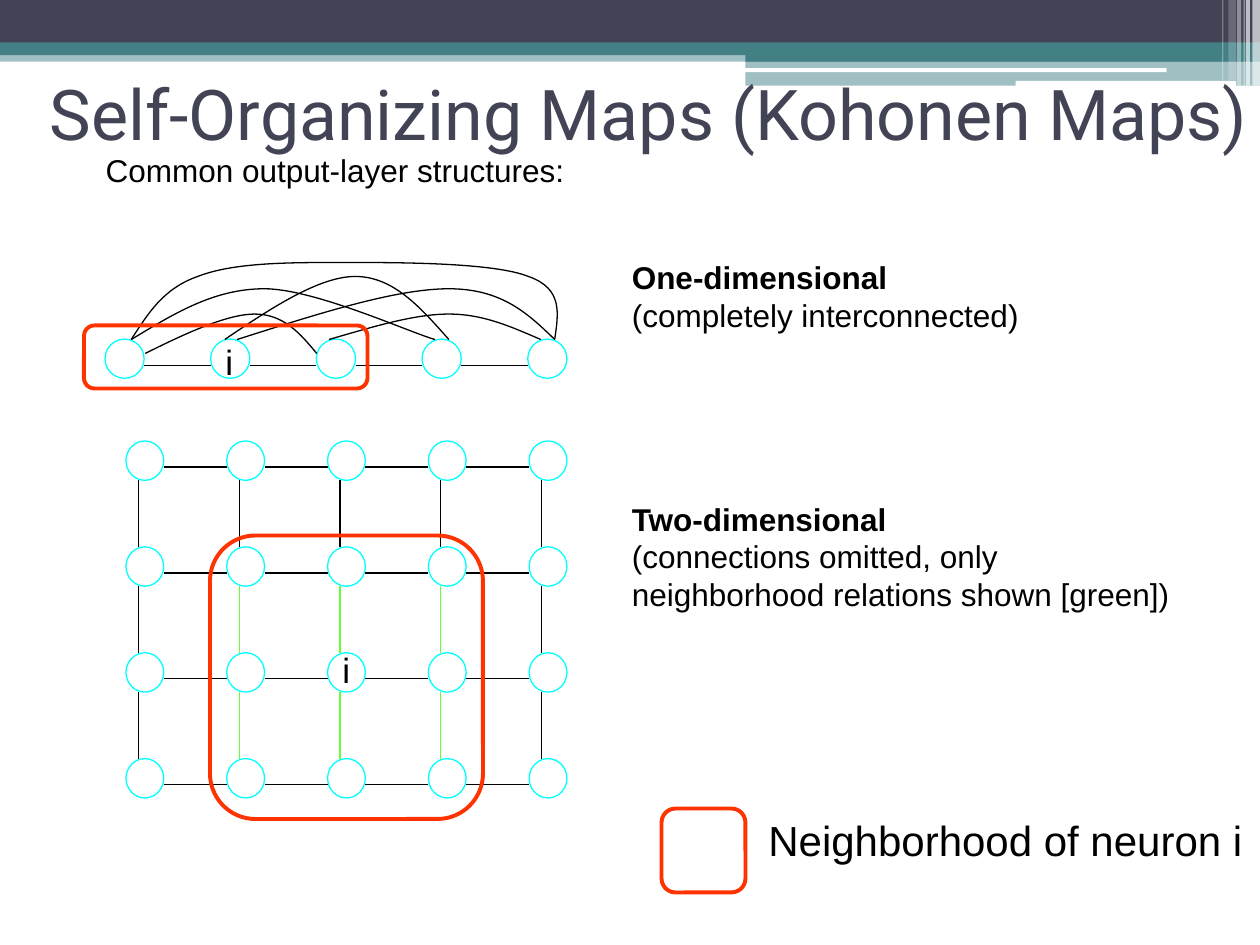
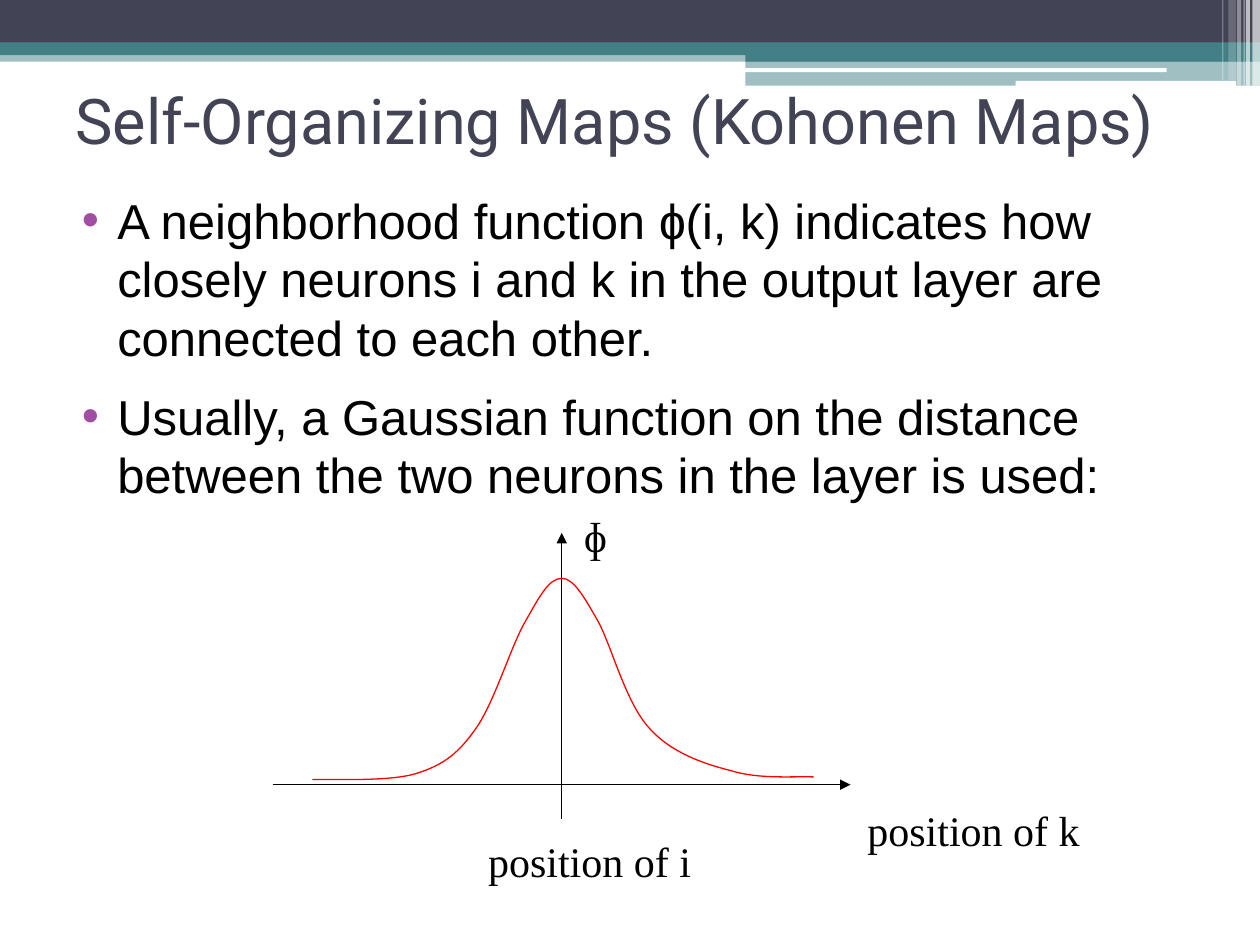
import pptx
import pptx.util
import pptx.dml.color
import pptx.enum.shapes
import pptx.enum.text
import pptx.oxml.ns
from lxml import etree

Pt = pptx.util.Pt
qn = pptx.oxml.ns.qn
KIND = pptx.enum.shapes.MSO_SHAPE
ALIGN = pptx.enum.text.PP_ALIGN
FIT = pptx.enum.text.MSO_AUTO_SIZE
ANCHOR = pptx.enum.text.MSO_ANCHOR

NAVY, TEAL, WHITE, BLACK = "424456", "438086", "FFFFFF", "000000"
CYAN, GREEN, RED, ORANGE, PURPLE = "00FFFF", "66FF33", "FF0000", "FF3300", "A04DA3"
TITLE = "Self-Organizing Maps (Kohonen Maps)"

BANDS = [
    (KIND.RECTANGLE, (0, 28.8, 720, 6.5), TEAL, 50),
    (KIND.RECTANGLE, (0, 0, 720, 24.5), NAVY, 100),
    (KIND.RECTANGLE, (0, 24.3, 720, 7.2), TEAL, 100),
    (KIND.RECTANGLE, (426, 28, 294, 7.2), TEAL, 100),
    (KIND.RECTANGLE, (426, 34.7, 294, 14.3), TEAL, 50),
    (KIND.ROUNDED_RECTANGLE, (425.5, 39, 241.2, 2.2), WHITE, 100),
    (KIND.ROUNDED_RECTANGLE, (580.3, 46.2, 126, 2.8), WHITE, 100),
]
STRIPES = [(715.7, 4.3, 49, 65), (712, 2.2, 49, 65), (710.6, 0.7, 49, 60),
           (707, 2.2, 49, 40), (702, 4.3, 46, 20), (698.4, 0.7, 46, 30)]

ARCS = [
    [(15, 44), (39, 29.5), (62, 15), (91, 15), (119.5, 15), (173, 39.5), (188.5, 44)],
    [(128, 44), (152.5, 37), (176.5, 29.5), (196.5, 29.5), (216.5, 29.5),
     (232.5, 37), (249, 44)],
    [(257, 44), (242, 29.5), (227, 15), (196.5, 15), (166, 15), (121, 29.5), (75.5, 44)],
    [(121, 52), (111.5, 40.5), (102, 29.5), (85.5, 29.5), (70, 29.5), (46, 40.5), (23, 52)],
    [(15, 44), (24.5, 29.5), (33, 15), (53, 8), (73.5, 0), (104.5, 0), (136, 0),
     (168, 0), (222, 0), (242, 8), (262, 15), (259, 29.5), (257, 44)],
    [(196.5, 44), (180.5, 26), (165, 8), (143, 8), (122.5, 8), (95, 26), (68.5, 44)],
]
BELL = [
    (22.5, 157.5), (32.5, 157), (66, 159), (82, 154), (98, 149), (106.5, 142),
    (116.5, 127.5), (126.5, 113), (136, 81.5), (144, 67.5), (152, 53.5),
    (157.5, 42.5), (165, 42.5), (172, 42.5), (178, 53.5), (186, 67.5),
    (193.5, 81.5), (201.5, 113), (214.5, 127.5), (227, 142), (246, 148.5),
    (262, 152.5), (278, 157.5), (299, 155.5), (309, 156),
]


def color(code):
    return pptx.dml.color.RGBColor.from_string(code)


def place(shape, box):
    shape.left, shape.top, shape.width, shape.height = map(Pt, box)


def write(para, text, size=18, font="Arial", ink=BLACK, bold=False, align=ALIGN.LEFT):
    para.alignment = align
    run = para.add_run()
    run.text = text
    run.font.size, run.font.name, run.font.bold = Pt(size), font, bold
    run.font.color.rgb = color(ink)


def label(shapes, box, text, head=None, wrap=True, **style):
    area = shapes.add_textbox(*map(Pt, box))
    area.text_frame.word_wrap = wrap
    para = area.text_frame.paragraphs[0]
    if head:
        write(para, head, bold=True, **style)
        para.add_line_break()
    write(para, text, **style)


def outline(shape, ink, width=0.75):
    shape.shadow.inherit = False
    shape.fill.background()
    shape.line.color.rgb = color(ink)
    shape.line.width = Pt(width)


def ring(shapes, box):
    outline(shapes.add_shape(KIND.OVAL, *map(Pt, box)), CYAN)


def hood(shapes, box):
    frame = shapes.add_shape(KIND.ROUNDED_RECTANGLE, *map(Pt, box))
    outline(frame, ORANGE, 2.25)


def link(shapes, x1, y1, x2, y2, ink=BLACK, arrow=False):
    line = shapes.add_connector(
        pptx.enum.shapes.MSO_CONNECTOR.STRAIGHT, *map(Pt, (x1, y1, x2, y2)))
    line.line.color.rgb = color(ink)
    line.line.width = Pt(0.75)
    props = line.element.spPr
    if arrow:
        etree.SubElement(props.find(qn("a:ln")), qn("a:tailEnd"), type="triangle")
    etree.SubElement(props, qn("a:effectLst"))


def curve(shapes, left, top, knots, ink=BLACK):
    dots = [(Pt(left + x), Pt(top + y)) for x, y in knots]
    pen = shapes.build_freeform(*dots[0])
    pen.add_line_segments(dots[1:], close=False)
    shape = pen.convert_to_shape()
    outline(shape, ink)
    trace = shape.element.spPr.find(".//" + qn("a:path"))
    legs = trace.findall(qn("a:lnTo"))
    for i in range(0, len(legs), 3):
        bend = etree.SubElement(trace, qn("a:cubicBezTo"))
        for leg in legs[i:i + 3]:
            bend.append(leg[0])
            trace.remove(leg)


def bands(deck, slide):
    stripes = [(KIND.RECTANGLE, (x, 0, wide, high), WHITE, alpha)
               for x, wide, high, alpha in STRIPES]
    tree = deck.slide_master.shapes.element
    for i, (kind, box, ink, alpha) in enumerate(BANDS + stripes):
        band = slide.shapes.add_shape(kind, *map(Pt, box))
        band.shadow.inherit = False
        band.fill.solid()
        band.fill.fore_color.rgb = color(ink)
        band.line.fill.background()
        if alpha < 100:
            tint = band.element.spPr.find(".//" + qn("a:srgbClr"))
            etree.SubElement(tint, qn("a:alpha"), val=str(alpha * 1000))
        band.element.nvSpPr.cNvPr.set("id", str(100 + i))
        tree.append(band.element)


def title(slide, box, size, align):
    head = slide.shapes.title
    place(head, box)
    frame = head.text_frame
    frame.auto_size, frame.vertical_anchor = FIT.NONE, ANCHOR.MIDDLE
    write(frame.paragraphs[0], TITLE, size=size, font="Roboto", ink=NAVY, align=align)


def points(slide, box, texts):
    body = slide.placeholders[1]
    place(body, box)
    frame = body.text_frame
    frame.auto_size, frame.vertical_anchor = FIT.NONE, ANCHOR.TOP
    for i, text in enumerate(texts):
        para = frame.add_paragraph() if i else frame.paragraphs[0]
        props = para._p.get_or_add_pPr()
        props.set("marL", str(Pt(28.8)))
        props.set("indent", str(Pt(-20.2)))
        tint = etree.SubElement(props, qn("a:buClr"))
        etree.SubElement(tint, qn("a:srgbClr"), val=PURPLE)
        etree.SubElement(props, qn("a:buFont"), typeface="Arial")
        etree.SubElement(props, qn("a:buChar"), char="•")
        para.space_before = Pt(11.2 if i else 0)
        write(para, text, size=28)


def chain(slide, left, top):
    shapes = slide.shapes.add_group_shape().shapes
    gap, size = 60.4, 22.4
    for i in range(5):
        x = left + i * gap
        ring(shapes, (x, top + 43.8, size, size))
        if i < 4:
            link(shapes, x + size, top + 58.8, x + gap, top + 58.8)
    for arc in ARCS:
        curve(shapes, left, top, arc)


def grid(slide, left, top):
    shapes = slide.shapes.add_group_shape().shapes
    across, down, wide, high = 57.6, 60.5, 21.6, 22.5
    for row in range(4):
        for col in range(5):
            x, y = left + col * across, top + row * down
            ring(shapes, (x, y, wide, high))
            if col < 4:
                link(shapes, x + wide, y + 14.9, x + across, y + 14.9)
            if row < 3:
                near = row > 0 and 0 < col < 4
                link(shapes, x + 7.1, y + high, x + 7.1, y + down, GREEN if near else BLACK)


def marked(slide, box, spot, text, size, width):
    shapes = slide.shapes.add_group_shape().shapes
    hood(shapes, box)
    label(shapes, (box[0] + spot[0], box[1] + spot[1], width, 48), text, size=size)


def plot(slide, left, top):
    shapes = slide.shapes.add_group_shape().shapes
    link(shapes, left, top + 160.4, left + 330, top + 160.4, arrow=True)
    link(shapes, left + 165, top + 180, left + 165, top + 16.5, arrow=True)
    curve(shapes, left, top, BELL, RED)
    for x, y, wide, text in ((169, 0, 29, "ɸ"), (108, 186, 138, "position of i"),
                             (300, 168, 168, "position of k")):
        label(shapes, (left + x, top + y, wide, 36), text, wrap=len(text) > 1,
              size=24, font="Times New Roman", align=ALIGN.RIGHT)


def layers(deck):
    slide = deck.slides.add_slide(deck.slide_layouts[5])
    bands(deck, slide)
    title(slide, (0, 34.5, 720, 60), 40, ALIGN.RIGHT)
    label(slide.shapes, (53.3, 82.8, 462, 48), "Common output-layer structures:")
    chain(slide, 60, 150)
    label(slide.shapes, (354, 144, 366, 48), "(completely interconnected)",
          head="One-dimensional")
    grid(slide, 72, 252)
    label(slide.shapes, (354, 282, 330, 174),
          "(connections omitted, only neighborhood relations shown [green])",
          head="Two-dimensional")
    marked(slide, (48, 186, 162, 36), (73.7, 4.8), "i", 20, 24)
    marked(slide, (120, 306, 156, 162), (68.6, 61.2), "i", 20, 24)
    marked(slide, (378, 462, 48, 48), (54, 0), "Neighborhood of neuron i", 24, 288)


def bell(deck):
    slide = deck.slides.add_slide(deck.slide_layouts[1])
    title(slide, (36, 26, 648, 84), 36, ALIGN.LEFT)
    points(slide, (31, 105, 648, 340.5), [
        "A neighborhood function ɸ(i, k) indicates how closely neurons i and k "
        "in the output layer are connected to each other.",
        "Usually, a Gaussian function on the distance between the two neurons "
        "in the layer is used:",
    ])
    plot(slide, 156, 288)


def main():
    deck = pptx.Presentation()
    deck.slide_width, deck.slide_height = Pt(720), Pt(540)
    layers(deck)
    bell(deck)
    deck.save("out.pptx")


if __name__ == "__main__":
    main()
